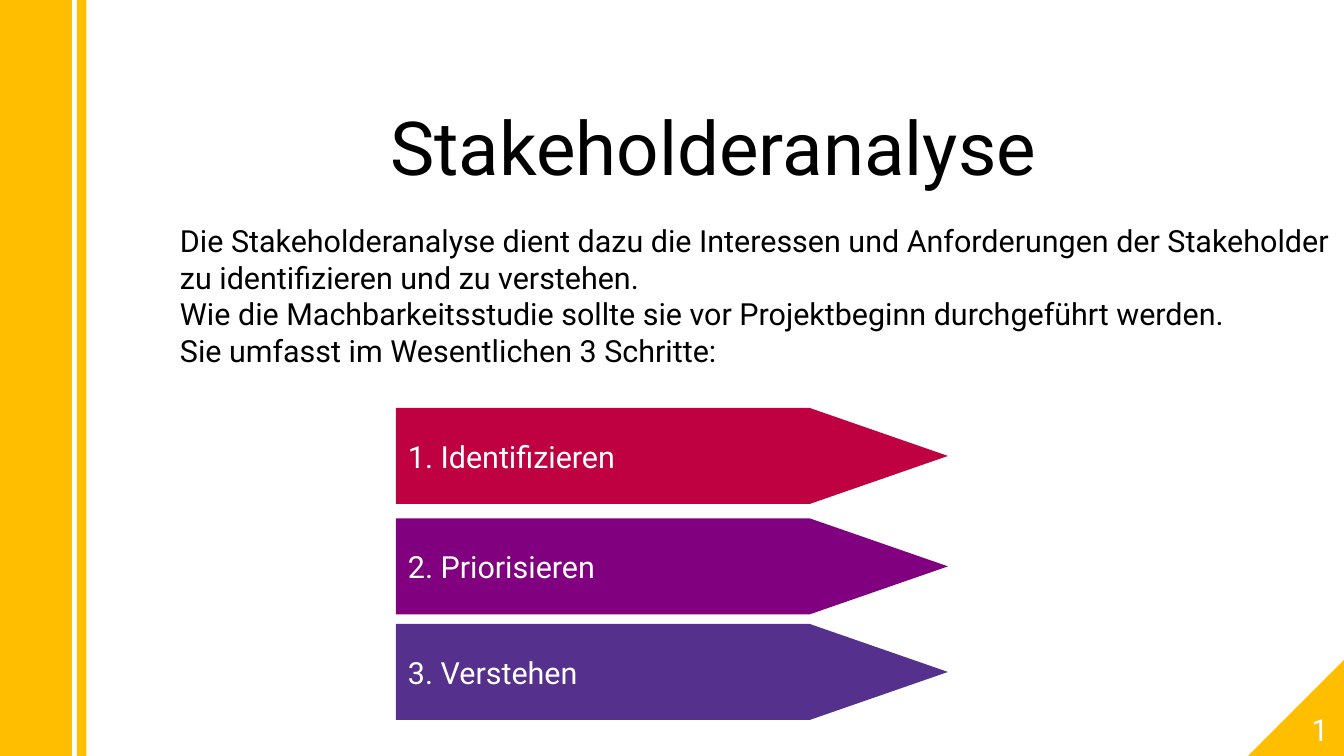
from pptx import Presentation
from pptx.dml.color import RGBColor
from pptx.enum import shapes, text
from pptx.util import Cm, Pt

WIDE, HIGH = 28, 15.75
HUES = {
    "gold": "FFBF00", "red": "BF0041", "plum": "800080",
    "blue": "55308D", "black": "000000", "white": "FFFFFF",
}
INTRO = [
    "Die Stakeholderanalyse dient dazu die Interessen und Anforderungen der Stakeholder",
    "zu identifizieren und zu verstehen.",
    "Wie die Machbarkeitsstudie sollte sie vor Projektbeginn durchgeführt werden.",
    "Sie umfasst im Wesentlichen 3 Schritte:",
]
STEPS = [
    (8.5, "1. Identifizieren", "red"),
    (10.8, "2. Priorisieren", "plum"),
    (13, "3. Verstehen", "blue"),
]


def write(shape, lines, size=18, hue="black", align="LEFT", anchor="MIDDLE", inset=0.25):
    frame = shape.text_frame
    frame.word_wrap = True
    frame.auto_size = text.MSO_AUTO_SIZE.NONE
    frame.vertical_anchor = text.MSO_ANCHOR[anchor]
    frame.margin_left = frame.margin_right = Cm(inset)
    frame.margin_top = frame.margin_bottom = Cm(inset / 2)
    frame.text = "\n".join(lines)
    for para in frame.paragraphs:
        para.alignment = text.PP_ALIGN[align]
        para.font.name = "Roboto"
        para.font.size = Pt(size)
        para.font.color.rgb = RGBColor.from_string(HUES[hue])


def draw(slide, kind, box, hue):
    """Add a plain filled preset shape."""
    shape = slide.shapes.add_shape(
        shapes.MSO_SHAPE[kind], *(Cm(side) for side in box))
    shape.shadow.inherit = False
    shape.fill.solid()
    shape.fill.fore_color.rgb = RGBColor.from_string(HUES[hue])
    shape.line.fill.background()
    return shape


def label(slide, box, lines, **style):
    write(slide.shapes.add_textbox(*(Cm(side) for side in box)), lines, **style)


def head(slide, box, words):
    title = slide.shapes.title
    title.left, title.top, title.width, title.height = (Cm(side) for side in box)
    write(title, [words], size=44, align="CENTER", inset=0)


def arrows(slide, left, wide, high, tip):
    """Stack one pentagon arrow per step."""
    for top, words, hue in STEPS:
        arrow = draw(slide, "PENTAGON", (left, top, wide, high), hue)
        arrow.adjustments[0] = tip / high
        write(arrow, [words], hue="white")


def stripes(slide, box):
    left, top, wide, high = box
    thin = 0.2
    draw(slide, "RECTANGLE", (left, top, 1.5, high), "gold")
    draw(slide, "RECTANGLE", (left + wide - thin, top, thin, high), "gold")


def corner(slide, box, number):
    left, top, wide, high = box
    draw(slide, "RIGHT_TRIANGLE", box, "gold").rotation = 270
    half = wide / 2
    label(slide, (left + half, top + high - 1.1, half, 1.1), [number],
          hue="white", align="CENTER")


def main():
    deck = Presentation()
    deck.slide_width, deck.slide_height = Cm(WIDE), Cm(HIGH)
    slide = deck.slides.add_slide(deck.slide_layouts[5])
    head(slide, (2.5, 1.72, 24.74, 2.63), "Stakeholderanalyse")
    label(slide, (3.5, 4.5, WIDE - 3.5, 3.7), INTRO, anchor="TOP")
    arrows(slide, left=8.25, wide=11.5, high=2, tip=2.88)
    stripes(slide, (0, 0, 1.8, HIGH))
    corner(slide, (WIDE - 2, HIGH - 2, 2, 2), "1")
    deck.save("out.pptx")


if __name__ == "__main__":
    main()
